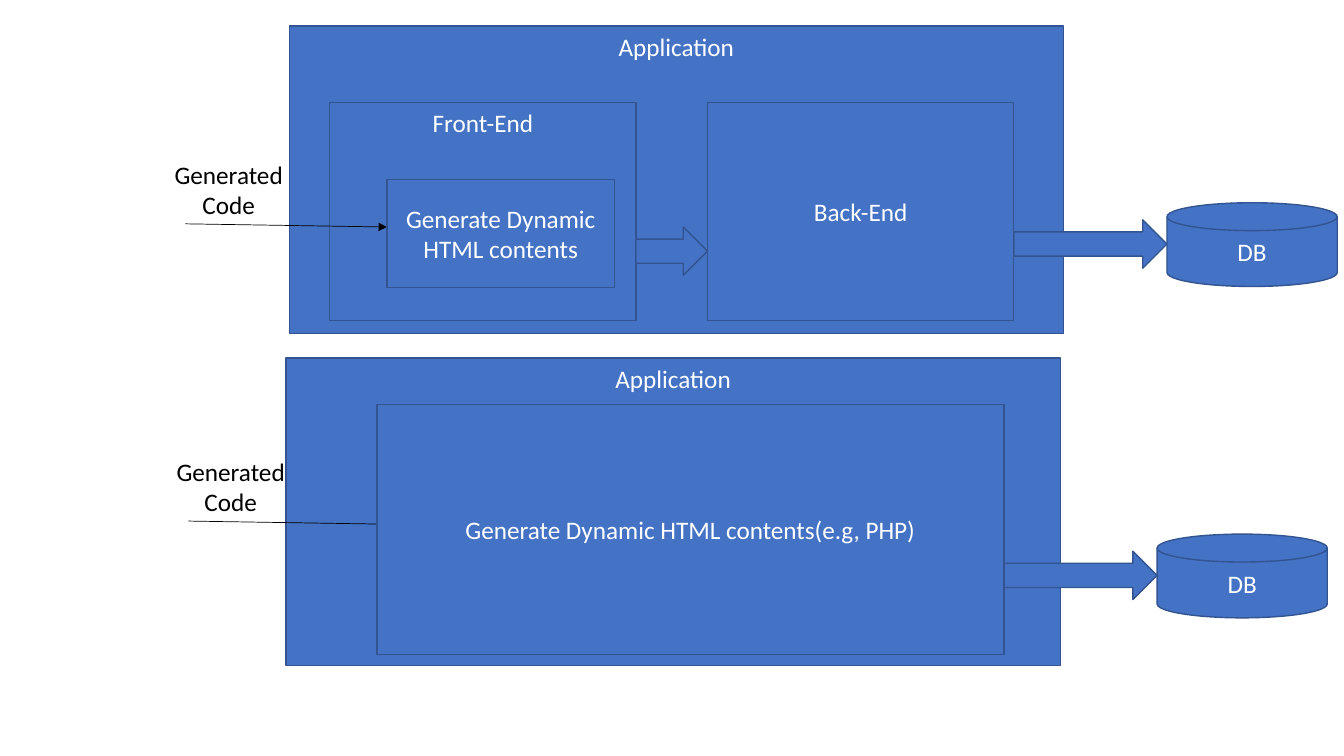
from dataclasses import dataclass

from lxml.etree import SubElement
from pptx import Presentation
from pptx.dml.color import RGBColor
from pptx.enum.shapes import MSO_CONNECTOR, MSO_SHAPE
from pptx.enum.text import MSO_ANCHOR, PP_ALIGN
from pptx.oxml.ns import qn
from pptx.slide import Slide
from pptx.text.text import TextFrame
from pptx.util import Cm, Pt

COLORS = {"fill": "4472C4", "edge": "325491", "light": "FFFFFF", "dark": "000000"}
RECT = MSO_SHAPE.RECTANGLE
ARROW = MSO_SHAPE.RIGHT_ARROW
DISK = MSO_SHAPE.FLOWCHART_MAGNETIC_DISK


@dataclass
class Block:
    kind: MSO_SHAPE
    left: float
    top: float
    width: float
    height: float
    text: str = ""
    anchor: MSO_ANCHOR = MSO_ANCHOR.MIDDLE


@dataclass
class Note:
    """A label, and the start of the pointer below it."""
    left: float
    top: float
    start: tuple[float, float]


@dataclass
class Design:
    blocks: list[Block]
    note: Note
    code: Block


def color(name: str) -> RGBColor:
    return RGBColor.from_string(COLORS[name])


def write(frame: TextFrame, text: str, ink: str) -> None:
    frame.word_wrap = True
    para = frame.paragraphs[0]
    para.text = text
    para.alignment = PP_ALIGN.CENTER
    para.font.name = "Calibri"
    para.font.size = Pt(18)
    para.font.color.rgb = color(ink)


def draw_block(slide: Slide, block: Block) -> None:
    shape = slide.shapes.add_shape(
        block.kind, Cm(block.left), Cm(block.top), Cm(block.width), Cm(block.height))
    shape.shadow.inherit = False
    shape.fill.solid()
    shape.fill.fore_color.rgb = color("fill")
    shape.line.color.rgb = color("edge")
    shape.line.width = Pt(1)
    if block.text:
        shape.text_frame.vertical_anchor = block.anchor
        write(shape.text_frame, block.text, "light")


def draw_pointer(slide: Slide, start: tuple[float, float]) -> None:
    x, y = start
    line = slide.shapes.add_connector(
        MSO_CONNECTOR.STRAIGHT, Cm(x), Cm(y), Cm(x + 5.08), Cm(y + 0.08))
    line.line.color.rgb = color("dark")
    line.line.width = Pt(0.5)
    props = line._element.spPr
    SubElement(props.find(qn("a:ln")), qn("a:tailEnd"), type="triangle")
    SubElement(props, qn("a:effectLst"))


def draw_label(slide: Slide, note: Note) -> None:
    box = slide.shapes.add_textbox(Cm(note.left), Cm(note.top), Cm(4.11), Cm(1.8))
    write(box.text_frame, "Generated Code", "dark")


def draw_design(slide: Slide, design: Design) -> None:
    for block in design.blocks:
        draw_block(slide, block)
    draw_pointer(slide, design.note.start)
    draw_block(slide, design.code)
    draw_label(slide, design.note)


def app(left: float, top: float) -> Block:
    return Block(RECT, left, top, 19.51, 7.75, "Application", MSO_ANCHOR.TOP)


def store(left: float, top: float) -> list[Block]:
    """The database and the arrow that leads to it."""
    return [Block(ARROW, left, top, 3.86, 1.22),
            Block(DISK, left + 3.86, top - 0.43, 4.29, 2.11, "DB")]


DESIGNS = [
    Design(
        [app(7.29, 0.66),
         Block(RECT, 8.31, 2.59, 7.72, 5.49, "Front-End", MSO_ANCHOR.TOP),
         Block(RECT, 17.83, 2.59, 7.72, 5.49, "Back-End"),
         Block(ARROW, 16.03, 5.72, 1.8, 1.22),
         *store(25.55, 5.54)],
        Note(3.71, 3.89, (4.67, 5.64)),
        Block(RECT, 9.75, 4.52, 5.74, 2.72, "Generate Dynamic HTML contents")),
    Design(
        [app(7.21, 9.02), *store(25.3, 13.89)],
        Note(3.76, 11.38, (4.75, 13.13)),
        Block(RECT, 9.5, 10.19, 15.8, 6.3, "Generate Dynamic HTML contents(e.g, PHP)")),
]


def main() -> None:
    deck = Presentation()
    deck.slide_width, deck.slide_height = Cm(33.87), Cm(19.05)
    slide = deck.slides.add_slide(deck.slide_layouts[6])
    for design in DESIGNS:
        draw_design(slide, design)
    deck.save("out.pptx")


if __name__ == "__main__":
    main()
